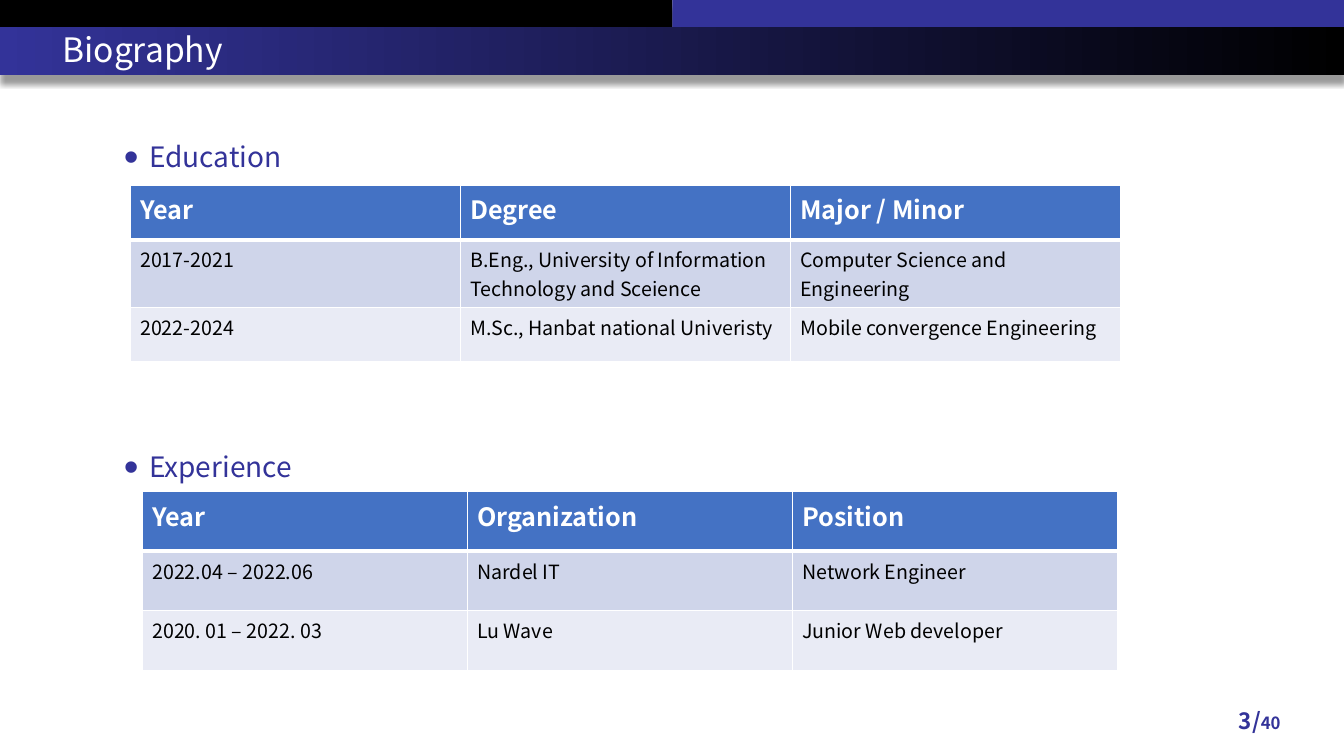
from lxml import etree
from pptx import Presentation
from pptx.dml.color import RGBColor
from pptx.enum.shapes import MSO_SHAPE
from pptx.enum.text import MSO_ANCHOR, PP_ALIGN
from pptx.oxml import parse_xml
from pptx.oxml.ns import nsdecls, qn
from pptx.util import Inches, Pt

RECTANGLE = MSO_SHAPE.RECTANGLE
TOP, MIDDLE = MSO_ANCHOR.TOP, MSO_ANCHOR.MIDDLE
LEFT, RIGHT = PP_ALIGN.LEFT, PP_ALIGN.RIGHT

BLACK = RGBColor(0x00, 0x00, 0x00)
WHITE = RGBColor(0xFF, 0xFF, 0xFF)
INDIGO = RGBColor(0x33, 0x33, 0x99)
HEADER_BLUE = RGBColor(0x44, 0x72, 0xC4)
BANDS = [RGBColor(0xCF, 0xD5, 0xEA), RGBColor(0xE9, 0xEB, 0xF5)]
FONT = "Noto Sans CJK KR"

# Content
TITLE = "Biography"
PAGE_NUMBER, PAGE_TOTAL = "3/", "40"
SECTIONS = [
    {
        "heading": "Education", "heading_top": 1.37,
        "left": 1.29, "top": 1.84, "width": 9.82,
        "row_heights": [0.54, 0.67, 0.54],
        "rows": [
            ("Year", "Degree", "Major / Minor"),
            ("2017-2021",
             "B.Eng., University of Information Technology and Sceience",
             "Computer Science and Engineering"),
            ("2022-2024", "M.Sc., Hanbat national Univeristy",
             "Mobile convergence Engineering"),
        ],
    },
    {
        "heading": "Experience", "heading_top": 4.45,
        "left": 1.41, "top": 4.88, "width": 9.67,
        "row_heights": [0.59, 0.59, 0.59],
        "rows": [
            ("Year", "Organization", "Position"),
            ("2022.04 – 2022.06", "Nardel IT", "Network Engineer"),
            ("2020. 01 – 2022. 03", "Lu Wave", "Junior Web developer"),
        ],
    },
]
# left, top, width, height, colours (two colours make a gradient)
BARS = [
    (0, 0, 6.67, 0.3, [BLACK]),
    (6.67, 0, 6.67, 0.3, [INDIGO]),
    (0, 0.27, 13.33, 0.47, [INDIGO, BLACK]),
]


def add_span(para, text, size, color, bold=False):
    span = para.add_run()
    span.text = text
    span.font.name = FONT
    span.font.size = Pt(size)
    span.font.bold = bold
    span.font.color.rgb = color
    properties = span._r.get_or_add_rPr()
    etree.SubElement(properties, qn("a:ea")).set("typeface", FONT)


def add_text(page, text, left, top, width, height, size=20, color=INDIGO,
             bold=False, align=LEFT, anchor=TOP, spacing=None):
    box = page.shapes.add_textbox(
        Inches(left), Inches(top), Inches(width), Inches(height))
    frame = box.text_frame
    frame.word_wrap = True
    frame.vertical_anchor = anchor
    para = frame.paragraphs[0]
    para.alignment = align
    para.line_spacing = spacing
    add_span(para, text, size, color, bold)
    return para


def add_bullet(para):
    properties = para._p.get_or_add_pPr()
    properties.set("marL", str(Inches(0.25)))
    properties.set("indent", str(-Inches(0.25)))
    for tag, name, value in [("a:buSzPct", "val", "150000"),
                             ("a:buFont", "typeface", "Arial"),
                             ("a:buChar", "char", "•")]:
        etree.SubElement(properties, qn(tag)).set(name, value)


def add_bar(page, left, top, width, height, colors):
    bar = page.shapes.add_shape(
        RECTANGLE, Inches(left), Inches(top), Inches(width), Inches(height))
    bar.shadow.inherit = False
    bar.line.fill.background()
    if len(colors) == 1:
        bar.fill.solid()
        bar.fill.fore_color.rgb = colors[0]
    else:
        bar.fill.gradient()
        bar.fill.gradient_angle = 0
        for stop, color in zip(bar.fill.gradient_stops, colors):
            stop.color.rgb = color
    effects = bar._element.spPr.find(qn("a:effectLst"))
    effects.append(parse_xml(
        f'<a:outerShdw {nsdecls("a")} blurRad="{Pt(4)}" dist="{Pt(6)}" '
        'dir="5400000" algn="t" rotWithShape="0"><a:srgbClr val="000000">'
        '<a:alpha val="40000"/></a:srgbClr></a:outerShdw>'))


def set_borders(cell, top, bottom):
    properties = cell._tc.get_or_add_tcPr()
    for side, width in [("L", 1), ("R", 1), ("T", top), ("B", bottom)]:
        properties.append(parse_xml(
            f'<a:ln{side} {nsdecls("a")} w="{Pt(width)}"><a:solidFill>'
            f'<a:srgbClr val="{WHITE}"/></a:solidFill></a:ln{side}>'))


def add_section(page, section):
    add_bullet(add_text(page, section["heading"], 1.13,
                        section["heading_top"], 11.14, 0.45, spacing=0.9))
    rows, heights = section["rows"], section["row_heights"]
    table = page.shapes.add_table(
        len(rows), len(rows[0]), Inches(section["left"]),
        Inches(section["top"]), Inches(section["width"]),
        Inches(sum(heights))).table
    for row_index, (row, height) in enumerate(zip(rows, heights)):
        table.rows[row_index].height = Inches(height)
        header = row_index == 0
        for column_index, text in enumerate(row):
            cell = table.cell(row_index, column_index)
            set_borders(cell, top=3 if row_index == 1 else 1,
                        bottom=3 if header else 1)
            cell.fill.solid()
            cell.fill.fore_color.rgb = (
                HEADER_BLUE if header else BANDS[(row_index - 1) % 2])
            add_span(cell.text_frame.paragraphs[0], text,
                     size=18 if header else 14,
                     color=WHITE if header else BLACK, bold=header)


def main():
    deck = Presentation()
    deck.slide_width, deck.slide_height = Inches(13.33), Inches(7.5)
    page = deck.slides.add_slide(deck.slide_layouts[6])

    # Header bars and title
    for bar in BARS:
        add_bar(page, *bar)
    add_text(page, TITLE, 0.52, 0.32, 11.5, 0.38, size=24, color=WHITE,
             anchor=MIDDLE, spacing=0.9)

    # Headings with their tables
    for section in SECTIONS:
        add_section(page, section)

    # Page number
    para = add_text(page, PAGE_NUMBER, 9.8, 6.95, 3, 0.4, size=16, bold=True,
                    align=RIGHT, anchor=MIDDLE)
    add_span(para, PAGE_TOTAL, 12, INDIGO, bold=True)

    deck.save("out.pptx")


if __name__ == "__main__":
    main()
